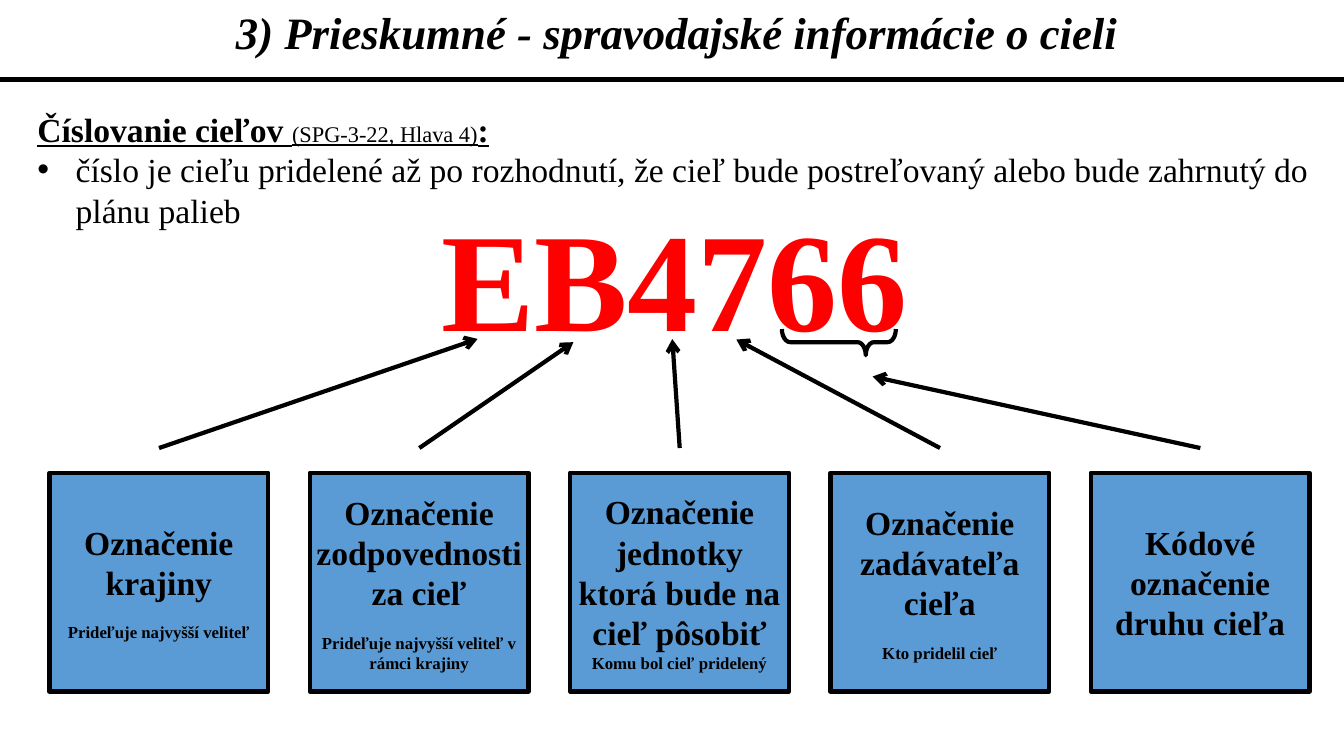
"""Build the slide that explains how target numbers are composed."""
from dataclasses import dataclass

from lxml import etree
from pptx import Presentation
from pptx.dml.color import RGBColor
from pptx.enum.shapes import MSO_CONNECTOR, MSO_SHAPE
from pptx.enum.text import MSO_ANCHOR, MSO_AUTO_SIZE, PP_ALIGN
from pptx.oxml.ns import qn
from pptx.util import Inches, Pt

CENTER, LEFT = PP_ALIGN.CENTER, PP_ALIGN.LEFT
TOP, MIDDLE = MSO_ANCHOR.TOP, MSO_ANCHOR.MIDDLE
CALLOUT, BRACE = MSO_SHAPE.LINE_CALLOUT_1, MSO_SHAPE.RIGHT_BRACE
STRAIGHT, NO_FIT = MSO_CONNECTOR.STRAIGHT, MSO_AUTO_SIZE.NONE

COLORS = {"ink": "000000", "code": "FF0000", "box": "5B9BD5"}
FONT = "Times New Roman"
WIDTH, HEIGHT = Inches(13.33), Inches(7.5)
FIRST_COLUMN, COLUMN_STEP = 3.68, 19.37
BOX_TOP, BOX_WIDTH, BOX_HEIGHT = 62.53, 16.28, 28.93


@dataclass(frozen=True)
class Part:
    """One part of the target number, with its pointer tip as shares of its box."""
    label: str
    note: str
    tip_down: float
    tip_across: float
    note_gap: int = 14


PARTS = [
    Part("Označenie krajiny", "Prideľuje najvyšší veliteľ", -0.612, 1.957),
    Part("Označenie zodpovednosti za cieľ", "Prideľuje najvyšší veliteľ v rámci krajiny", -0.597, 1.205),
    Part("Označenie jednotky ktorá bude na cieľ pôsobiť", "Komu bol cieľ pridelený", -0.611, 0.467, 0),
    Part("Označenie zadávateľa cieľa", "Kto pridelil cieľ", -0.609, -0.43),
    Part("Kódové označenie druhu cieľa", "", -0.44, -0.997),
]


def area(left: float, top: float, width: float, height: float) -> tuple:
    """Turn percentages of the slide into lengths."""
    return (int(WIDTH * left / 100), int(HEIGHT * top / 100),
            int(WIDTH * width / 100), int(HEIGHT * height / 100))


def color(name: str) -> RGBColor:
    """Look up a colour by name."""
    return RGBColor.from_string(COLORS[name])


def move(box, *shares: float) -> None:
    """Place a box by percentages of the slide."""
    box.left, box.top, box.width, box.height = area(*shares)


def prepare(box, anchor=TOP):
    """Set up the text frame of a box."""
    frame = box.text_frame
    frame.word_wrap = True
    frame.auto_size = NO_FIT
    frame.vertical_anchor = anchor
    return frame


def add_para(frame, first=False, align=CENTER, before=0, margin=0.0, bullet=""):
    """Start a paragraph with its indent, bullet and spacing."""
    para = frame.paragraphs[0] if first else frame.add_paragraph()
    props = para._p.get_or_add_pPr()
    props.set("marL", str(Inches(margin)))
    props.set("indent", str(-Inches(margin) if bullet else 0))
    if bullet:
        etree.SubElement(props, qn("a:buFont")).set("typeface", "Arial")
        etree.SubElement(props, qn("a:buChar")).set("char", bullet)
    else:
        etree.SubElement(props, qn("a:buNone"))
    para.alignment = align
    para.space_before = Pt(before)
    return para


def add_span(para, text: str, size=24, bold=True, italic=False, underline=False, ink="ink") -> None:
    """Write formatted text at the end of a paragraph."""
    span = para.add_run()
    span.text = text
    font = span.font
    font.name, font.size = FONT, Pt(size)
    font.bold, font.italic, font.underline = bold, italic, underline
    font.color.rgb = color(ink)


def draw_line(line) -> None:
    """Give an outline its colour and width."""
    line.color.rgb = color("ink")
    line.width = Pt(3)


def add_part(page, column: int, part: Part) -> None:
    """Draw the callout of one part of the number."""
    left = FIRST_COLUMN + column * COLUMN_STEP
    box = page.shapes.add_shape(CALLOUT, *area(left, BOX_TOP, BOX_WIDTH, BOX_HEIGHT))
    for index, value in enumerate((-0.113, 0.501, part.tip_down, part.tip_across)):
        box.adjustments[index] = value
    box.shadow.inherit = False
    box.fill.solid()
    box.fill.fore_color.rgb = color("box")
    draw_line(box.line)
    etree.SubElement(box.line._get_or_add_ln(), qn("a:tailEnd")).set("type", "arrow")
    frame = prepare(box, MIDDLE)
    frame.margin_left = frame.margin_right = Inches(0.04)
    frame.margin_top = frame.margin_bottom = 0
    add_span(add_para(frame, first=True), part.label)
    if part.note:
        add_span(add_para(frame, before=part.note_gap), part.note, size=12)


def add_texts(page) -> None:
    """Fill the title, the introduction and the sample number."""
    title, body = page.placeholders[0], page.placeholders[1]
    move(title, 0, 0, 100, 8.53)
    heading = add_para(prepare(title), first=True, margin=0.1)
    add_span(heading, "3) Prieskumné - spravodajské informácie o cieli", size=32, italic=True)

    move(body, 2.03, 13.73, 96.77, 17.47)
    frame = prepare(body)
    intro = add_para(frame, first=True, align=LEFT)
    add_span(intro, "Číslovanie cieľov ", underline=True)
    add_span(intro, "(SPG-3-22, Hlava 4)", size=16, bold=False, underline=True)
    add_span(intro, ":", underline=True)
    rule = add_para(frame, align=LEFT, margin=0.38, bullet="•")
    add_span(rule, "číslo je cieľu pridelené až po rozhodnutí, že cieľ bude postreľovaný "
                   "alebo bude zahrnutý do plánu palieb", bold=False)

    number = page.shapes.add_textbox(*area(32.03, 24.67, 36.31, 23.73))
    add_span(add_para(prepare(number), first=True), "EB4766", size=100, ink="code")


def add_divider(page) -> None:
    """Draw the line under the title."""
    left, top, width, _ = area(0, 10.53, 100, 0)
    divider = page.shapes.add_connector(STRAIGHT, left, top, width, top)
    draw_line(divider.line)
    etree.SubElement(divider._element.spPr, qn("a:effectLst"))


def add_brace(page) -> None:
    """Draw the brace under the last two digits."""
    brace = page.shapes.add_shape(BRACE, *area(61.44, 37.73, 1.95, 15.07))
    brace.rotation = 90
    brace.adjustments[0], brace.adjustments[1] = 0.316, 0.264
    brace.shadow.inherit = False
    brace.fill.background()
    draw_line(brace.line)


def main() -> None:
    """Build and save the deck."""
    deck = Presentation()
    deck.slide_width, deck.slide_height = WIDTH, HEIGHT
    page = deck.slides.add_slide(deck.slide_layouts[1])
    add_divider(page)
    add_texts(page)
    for column, part in enumerate(PARTS):
        add_part(page, column, part)
    add_brace(page)
    deck.save("out.pptx")


if __name__ == "__main__":
    main()
